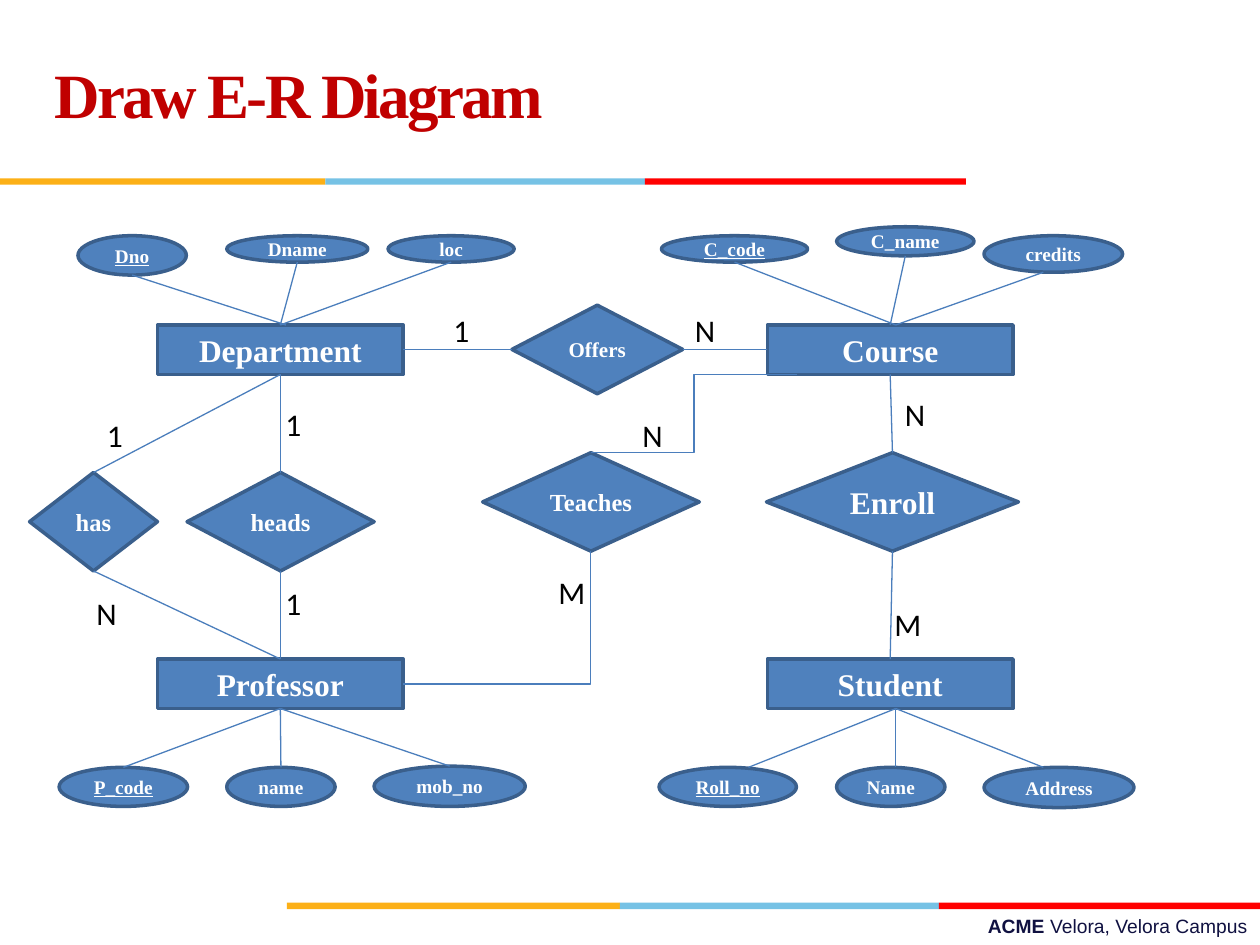
from lxml.etree import SubElement
from pptx import Presentation
from pptx.dml.color import RGBColor
from pptx.enum.shapes import MSO_CONNECTOR, MSO_SHAPE
from pptx.enum.text import MSO_ANCHOR, PP_ALIGN
from pptx.oxml.ns import qn
from pptx.util import Pt

COLORS = {
    "node": "4F81BD", "edge": "3A5F8C", "link": "4B7EBC",
    "gold": "FCB017", "sky": "76C2E5", "red": "FF0000",
    "title": "C00000", "navy": "101141", "white": "FFFFFF", "black": "000000",
}
SERIF = "Times New Roman"


def rgb(name):
    """Look up a named colour."""
    return RGBColor.from_string(COLORS[name])


def write(frame, text, size=18, font=SERIF, color="white", bold=False,
          under=False, align=PP_ALIGN.LEFT, space=None):
    """Add one formatted run to the first paragraph of a text frame."""
    para = frame.paragraphs[0]
    para.alignment = align
    run = para.add_run()
    run.text = text
    run.font.size = Pt(size)
    run.font.name = font
    run.font.bold = bold
    run.font.underline = under
    run.font.color.rgb = rgb(color)
    if space is not None:
        run.font._element.set("spc", str(round(space * 100)))
    return para


def frame(slide, box, anchor=MSO_ANCHOR.TOP):
    """Add a wrapping text box and return its text frame."""
    body = slide.shapes.add_textbox(*map(Pt, box)).text_frame
    body.word_wrap = True
    body.vertical_anchor = anchor
    return body


def block(slide, kind, box, fill, edge=None):
    """Add a flat filled shape, outlined when an edge colour is given."""
    shape = slide.shapes.add_shape(kind, *map(Pt, box))
    shape.shadow.inherit = False
    shape.fill.solid()
    shape.fill.fore_color.rgb = rgb(fill)
    if edge:
        shape.line.color.rgb = rgb(edge)
        shape.line.width = Pt(2)
    else:
        shape.line.fill.background()
    return shape


def node(slide, kind, box, text, size, under=False):
    """Draw one labelled part of the diagram."""
    body = block(slide, kind, box, "node", "edge").text_frame
    body.margin_left = body.margin_right = body.margin_top = body.margin_bottom = 0
    body.word_wrap = False
    body.vertical_anchor = MSO_ANCHOR.MIDDLE
    write(body, text, size, bold=True, under=under, align=PP_ALIGN.CENTER)


def link(slide, start, end, bend=None):
    """Join two points with a straight line, or an elbow of the given preset."""
    kind = MSO_CONNECTOR.ELBOW if bend else MSO_CONNECTOR.STRAIGHT
    line = slide.shapes.add_connector(kind, *map(Pt, (*start, *end)))
    line.line.color.rgb = rgb("link")
    line.line.width = Pt(0.75)
    props = line._element.spPr
    SubElement(props, qn("a:effectLst"))
    if bend:
        props.find(qn("a:prstGeom")).set("prst", bend)


def strip(slide, box, stops):
    """Draw the three-colour strip, split at the given offsets."""
    left, top, width, height = box
    edges = [0, *stops, width]
    for name, a, b in zip(("gold", "sky", "red"), edges, edges[1:]):
        block(slide, MSO_SHAPE.RECTANGLE, (left + a, top, b - a, height), name)


def entity(slide, box, name, fields):
    """Draw an entity and its attributes; the first attribute is the key.

    Each field is (text, x, y, w, h, foot, tip), offset from the box;
    a tip of None means the middle of the ellipse.
    """
    left, top, _, high = box
    node(slide, MSO_SHAPE.RECTANGLE, box, name, 18)
    for i, (text, x, y, w, h, foot, tip) in enumerate(fields):
        node(slide, MSO_SHAPE.OVAL, (left + x, top + y, w, h), text, 11, i == 0)
        above = y < 0
        tip = x + w / 2 if tip is None else tip
        link(slide, (left + foot, top if above else top + high),
             (left + tip, top + (y + h if above else y)))


def title(slide, box):
    """Write the heading in its box."""
    para = write(frame(slide, box, MSO_ANCHOR.MIDDLE), "Draw E-R Diagram", 36,
                 color="title", bold=True, space=-1.5)
    para.line_spacing = Pt(36)


def footer(slide, box):
    """Write the campus line in its box."""
    body = frame(slide, box)
    for text, bold in (("ACME ", True), ("Velora, Velora Campus", False)):
        write(body, text, 11, "Arial", "navy", bold, align=PP_ALIGN.RIGHT)


def diagram(slide, box):
    """Draw the whole E-R diagram, offset from the box's top left corner."""
    x0, y0 = box[:2]

    def at(x, y):
        """Shift a point into the box."""
        return x0 + x, y0 + y

    west, east, north, south = 90, 438.5, 185.7, 376.6
    wide, high, mid = 140.4, 28.3, 70.2
    entities = (
        ("Department", west, north, (
            ("Dno", -45.4, -51, 61.9, 22.5, 73.4, None),
            ("Dname", 39.6, -51, 80.6, 15.1, mid, None),
            ("loc", 131.8, -51, 72, 15.1, mid, None))),
        ("Course", east, north, (
            ("C_code", -60.5, -51, 83.5, 15.1, 73.4, None),
            ("C_name", 39.6, -56.1, 78.5, 16.6, mid, None),
            ("credits", 123.8, -51, 79.2, 20.9, 73.4, 157.7))),
        ("Professor", west, south, (
            ("P_code", -56.2, 61.9, 73.4, 22.3, mid, None),
            ("name", 39.6, 61.9, 61.9, 22.3, mid, None),
            ("mob_no", 123.8, 61.2, 86.4, 23, mid, None))),
        ("Student", east, south, (
            ("Roll_no", -61.9, 61.9, 78.5, 22.3, 73.4, -10.8),
            ("Name", 39.6, 61.9, 61.9, 22.3, 73.4, 73.4),
            ("Address", 123.8, 61.9, 85.7, 23, 73.4, 157.7))),
    )
    for name, x, y, fields in entities:
        entity(slide, (*at(x, y), wide, high), name, fields)

    for text, x, y, w, h, size in (
            ("Offers", 292.5, 174.4, 97.6, 50.6, 12),
            ("Enroll", 438, 258.7, 144, 56.3, 18),
            ("heads", 106.9, 270, 106.9, 56.3, 14),
            ("Teaches", 275.8, 258.7, 123.8, 56.3, 14),
            ("has", 16.9, 270, 73.1, 56.3, 14)):
        node(slide, MSO_SHAPE.DIAMOND, (*at(x, y), w, h), text, size)

    base = north + high
    hub, heart, row = west + mid, east + mid, 199.8
    for start, end, bend in (
            ((west + wide, row), (292.5, row), None),
            ((390.1, row), (east, row), None),
            ((heart, base), (510, 258.7), None),
            ((510, 315), (heart, south), None),
            ((hub, base), (hub, 270), None),
            ((hub, 326.3), (hub, south), None),
            ((53.5, 270), (hub, base), None),
            ((53.5, 326.3), (hub, south), None),
            ((455.6, base), (337.6, 258.7), "bentConnector3"),
            ((west + wide, 390.9), (337.6, 315), "bentConnector2")):
        link(slide, at(*start), at(*end), bend)

    for text, x, y in (
            ("M", 312, 324), ("N", 360, 234), ("N", 510, 222), ("M", 504, 342),
            ("1", 252, 174), ("N", 390, 174), ("1", 156, 330), ("1", 156, 228),
            ("1", 54, 234), ("N", 48, 336)):
        write(frame(slide, (*at(x, y), 42, 29)), text, 18, "Calibri", "black")


def main():
    """Build and save the slide."""
    deck = Presentation()
    deck.slide_width, deck.slide_height = Pt(720), Pt(540)
    slide = deck.slides.add_slide(deck.slide_layouts[6])
    footer(slide, (257.8, 519, 462.2, 20.6))
    strip(slide, (164, 515.8, 556, 3.8), (190.2, 372.5))
    strip(slide, (0, 102, 552, 3.6), (186, 368.6))
    title(slide, (24, 12, 498, 90))
    diagram(slide, (0, 0, 720, 540))
    deck.save("out.pptx")


main()
